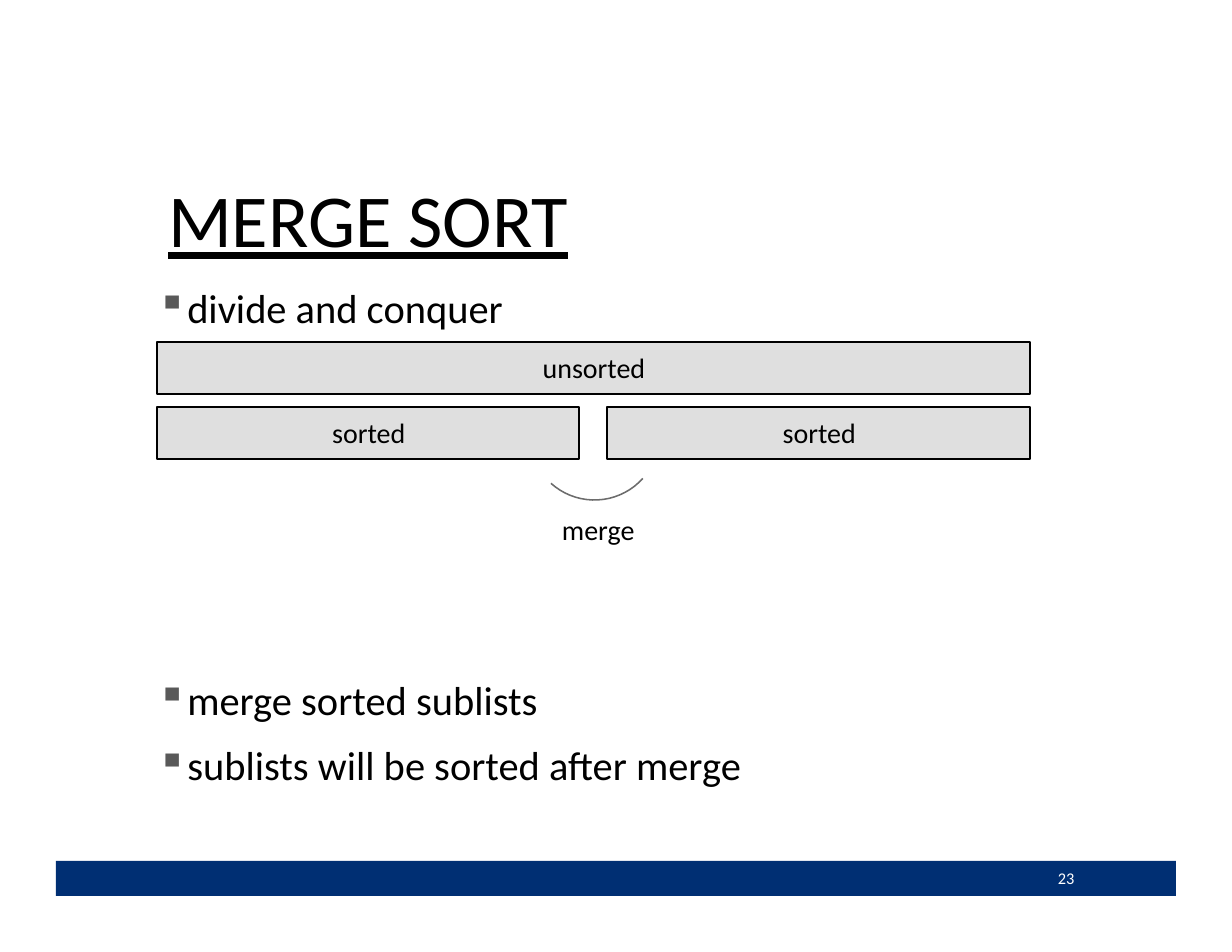
import math

from lxml import etree
from pptx import Presentation
from pptx import util as u
from pptx.dml.color import RGBColor
from pptx.enum import shapes, text
from pptx.oxml import ns

PX = u.Inches(1) / 112
FONT = "Calibri"
COLORS = {"ink": "000000", "bar": "DFDFDF", "bullet": "595959",
          "curve": "6C6C6C", "footer": "002F73", "white": "FFFFFF"}


def emu(px):
    return round(px * PX)


def rgb(name):
    return RGBColor.from_string(COLORS[name])


def add_text(shape, lines, size, top=0, indent=0, color="ink", align=text.PP_ALIGN.LEFT,
             underline=False, gap=0):
    """Write one paragraph per line and return the paragraphs."""
    frame = shape.text_frame
    frame_format = {"margin_left": 0, "margin_right": 0, "margin_bottom": 0,
                    "margin_top": emu(top), "word_wrap": True,
                    "vertical_anchor": text.MSO_ANCHOR.TOP}
    for key, value in frame_format.items():
        setattr(frame, key, value)
    for i, line in enumerate(lines):
        paragraph = frame.paragraphs[0] if i == 0 else frame.add_paragraph()
        paragraph.alignment = align
        paragraph.space_before = u.Pt(gap if i else 0)
        paragraph._p.get_or_add_pPr().set("marL", str(emu(indent)))
        run = paragraph.add_run()
        run.text = line
        for key, value in {"name": FONT, "size": u.Pt(size), "underline": underline}.items():
            setattr(run.font, key, value)
        run.font.color.rgb = rgb(color)
    return frame.paragraphs


def add_label(slide, box, lines, size, **options):
    label = slide.shapes.add_textbox(*map(emu, box))
    return add_text(label, lines, size, **options)


def add_rect(slide, box, fill, line=None):
    rect = slide.shapes.add_shape(shapes.MSO_SHAPE.RECTANGLE, *map(emu, box))
    rect.shadow.inherit = False
    rect.fill.solid()
    rect.fill.fore_color.rgb = rgb(fill)
    if line:
        rect.line.color.rgb = rgb(line)
        rect.line.width = u.Pt(1.25)
    else:
        rect.line.fill.background()
    return rect


def bullet_list(slide, box, lines, top):
    for paragraph in add_label(slide, box, lines, 26, top=top, indent=29, gap=10.8):
        properties = paragraph._p.get_or_add_pPr()
        properties.set("indent", str(emu(-28)))
        bullet_color = etree.SubElement(properties, ns.qn("a:buClr"))
        etree.SubElement(bullet_color, ns.qn("a:srgbClr"), val=COLORS["bullet"])
        etree.SubElement(properties, ns.qn("a:buChar"), char="▪")


def merge_curve(slide, center_x, center_y, radius):
    points = [(emu(center_x + radius * math.cos(math.radians(angle))),
               emu(center_y + radius * math.sin(math.radians(angle))))
              for angle in range(42, 134, 5)]
    builder = slide.shapes.build_freeform(*points[0])
    builder.add_line_segments(points[1:], close=False)
    curve = builder.convert_to_shape()
    curve.shadow.inherit = False
    curve.fill.background()
    curve.line.color.rgb = rgb("curve")
    curve.line.width = u.Pt(1)


def merge_diagram(slide, box):
    x, y, width, _ = box
    bar_height, row_step, gap = 52, 65, 28
    half = (width - gap) / 2
    bars = [("unsorted", 0, 0, width),
            ("sorted", 0, row_step, half),
            ("sorted", half + gap, row_step, half)]
    for name, left, top, bar_width in bars:
        bar = add_rect(slide, (x + left, y + top, bar_width, bar_height), "bar", "ink")
        add_text(bar, [name], 18, top=9, indent=1, align=text.PP_ALIGN.CENTER)
    # Curve joining the two sorted halves
    merge_curve(slide, x + width / 2 + 1, y + 93, 65)
    add_label(slide, (x + 404, y + 170, 80, 37), ["merge"], 18, top=1, indent=1)


def footer(slide, box, number):
    x, y, _, _ = box
    add_rect(slide, box, "footer")
    add_label(slide, (x + 998, y + 1, 30, 28), [number], 10.5,
              top=6, indent=4, color="white")


def merge_sort_slide(slide, box):
    x, y, _, _ = box
    # Footer bar and slide number
    footer(slide, (x + 56, y + 861, 1120, 35), "23")
    # Title
    add_label(slide, (x + 150, y + 96, 933, 167), ["MERGE SORT"], 48,
              top=77, indent=18, underline=True)
    # Bullets above and below the diagram
    bullet_list(slide, (x + 156, y + 282, 400, 52), ["divide and conquer"], 1)
    bullet_list(slide, (x + 156, y + 657, 620, 133),
                ["merge sorted sublists", "sublists will be sorted after merge"], 18)
    # Diagram
    merge_diagram(slide, (x + 157, y + 342, 873, 207))


def main():
    deck = Presentation()
    deck.slide_width, deck.slide_height = emu(1232), emu(952)
    slide = deck.slides.add_slide(deck.slide_layouts[6])
    merge_sort_slide(slide, (0, 0, 1232, 952))
    deck.save("out.pptx")


if __name__ == "__main__":
    main()
